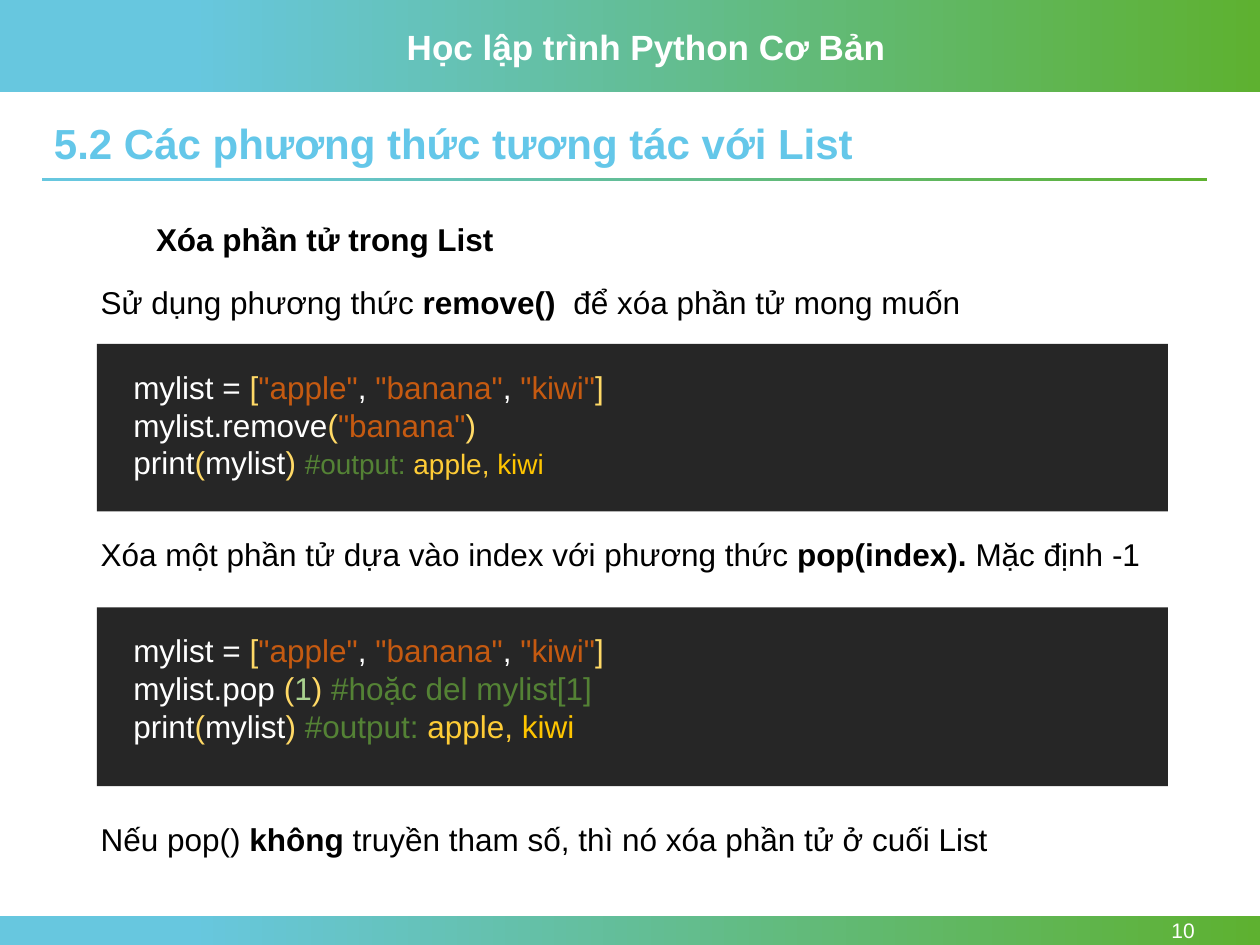
from dataclasses import dataclass

from pptx import Presentation
from pptx.dml.color import RGBColor
from pptx.enum.shapes import MSO_SHAPE
from pptx.enum.text import MSO_ANCHOR, PP_ALIGN
from pptx.shapes.autoshape import Shape
from pptx.slide import Slide
from pptx.util import Inches, Pt

RECTANGLE = MSO_SHAPE.RECTANGLE
TOP, MIDDLE = MSO_ANCHOR.TOP, MSO_ANCHOR.MIDDLE
LEFT, RIGHT = PP_ALIGN.LEFT, PP_ALIGN.RIGHT


@dataclass(frozen=True)
class Theme:
    font: str = "Arial"
    white: str = "FFFFFF"
    black: str = "000000"
    heading: str = "64C7E9"
    gradient: tuple[tuple[float, str], ...] = ((0.15, "67C7DF"), (1, "5EB130"))
    code_panel: str = "262626"
    bracket: str = "FFD966"
    string: str = "C55A11"
    number: str = "A9D18E"
    comment: str = "548235"
    first_output: str = "FECC36"
    last_output: str = "FFC500"
    course_size: int = 20
    heading_size: int = 24
    body_size: int = 18
    output_size: int = 16
    page_size: int = 12


THEME = Theme()


@dataclass(frozen=True)
class Span:
    text: str
    color: str = THEME.black
    size: int = THEME.body_size
    bold: bool = False


@dataclass(frozen=True)
class Box:
    left: float
    top: float
    width: float
    height: float


@dataclass(frozen=True)
class TextBlock:
    box: Box
    lines: list[list[Span]]
    align: PP_ALIGN = LEFT
    anchor: MSO_ANCHOR = TOP
    line_spacing: float = 1.0


@dataclass(frozen=True)
class CodeExample:
    top: float
    height: float
    lines: list[list[Span]]


def plain(text: str) -> Span:
    return Span(text, THEME.white)


def bracket(text: str) -> Span:
    return Span(text, THEME.bracket)


def string(text: str) -> Span:
    return Span(f'"{text}"', THEME.string)


def comment(text: str) -> Span:
    return Span(text, THEME.comment)


def list_line() -> list[Span]:
    return [plain("mylist = "), bracket("["), string("apple"), plain(", "),
            string("banana"), plain(", "), string("kiwi"), bracket("]")]


def print_line(output_size: int) -> list[Span]:
    return [plain("print"), bracket("("), plain("mylist"), bracket(") "),
            Span("#output: ", THEME.comment, output_size),
            Span("apple, ", THEME.first_output, output_size),
            Span("kiwi", THEME.last_output, output_size)]


def add_rectangle(slide: Slide, box: Box) -> Shape:
    rectangle = slide.shapes.add_shape(
        RECTANGLE, Inches(box.left), Inches(box.top), Inches(box.width), Inches(box.height))
    rectangle.shadow.inherit = False
    rectangle.line.fill.background()
    return rectangle


def add_gradient_band(slide: Slide, box: Box) -> None:
    fill = add_rectangle(slide, box).fill
    fill.gradient()
    fill.gradient_angle = 0
    for stop, (position, color) in zip(fill.gradient_stops, THEME.gradient):
        stop.position = position
        stop.color.rgb = RGBColor.from_string(color)


def add_text(slide: Slide, block: TextBlock) -> None:
    box = block.box
    frame = slide.shapes.add_textbox(
        Inches(box.left), Inches(box.top), Inches(box.width), Inches(box.height)).text_frame
    frame.word_wrap = True
    frame.vertical_anchor = block.anchor
    for index, spans in enumerate(block.lines):
        paragraph = frame.add_paragraph() if index else frame.paragraphs[0]
        paragraph.alignment = block.align
        paragraph.line_spacing = block.line_spacing
        for span in spans:
            run = paragraph.add_run()
            run.text = span.text
            run.font.name = THEME.font
            run.font.size = Pt(span.size)
            run.font.bold = span.bold
            run.font.color.rgb = RGBColor.from_string(span.color)


def add_code_example(slide: Slide, example: CodeExample) -> None:
    panel = add_rectangle(slide, Box(0.77, example.top, 8.5, example.height))
    panel.fill.solid()
    panel.fill.fore_color.rgb = RGBColor.from_string(THEME.code_panel)
    add_text(slide, TextBlock(Box(0.96, example.top + 0.14, 8.1, 1.01), example.lines))


BANDS = [Box(0, 0, 10, 0.73), Box(0, 7.27, 10, 0.23), Box(0.33, 1.41, 9.25, 0.03)]

TEXTS = [
    TextBlock(Box(3.13, 0.15, 4, 0.44),
              [[Span("Học lập trình Python Cơ Bản", THEME.white, THEME.course_size, True)]]),
    TextBlock(Box(8.66, 7.27, 0.92, 0.23),
              [[Span("10", THEME.white, THEME.page_size)]], RIGHT, MIDDLE),
    TextBlock(Box(0.33, 0.93, 9.25, 0.46),
              [[Span("5.2 Các phương thức tương tác với List",
                     THEME.heading, THEME.heading_size, True)]], line_spacing=0.9),
    TextBlock(Box(1.14, 1.7, 7.03, 0.4), [[Span("Xóa phần tử trong List", bold=True)]]),
    TextBlock(Box(0.7, 2.2, 8.42, 0.4),
              [[Span("Sử dụng phương thức "), Span("remove()  ", bold=True),
                Span("để xóa phần tử mong muốn")]]),
    TextBlock(Box(0.7, 4.2, 8.57, 0.4),
              [[Span("Xóa một phần tử dựa vào index với phương thức "),
                Span("pop(index). ", bold=True), Span("Mặc định -1")]]),
    TextBlock(Box(0.7, 6.46, 8.42, 0.4),
              [[Span("Nếu pop() "), Span("không", bold=True),
                Span(" truyền tham số, thì nó xóa phần tử ở cuối List")]]),
]

CODE_EXAMPLES = [
    CodeExample(2.73, 1.33, [
        list_line(),
        [plain("mylist.remove"), bracket("("), string("banana"), bracket(")")],
        print_line(THEME.output_size),
    ]),
    CodeExample(4.82, 1.42, [
        list_line(),
        [plain("mylist.pop "), bracket("("), Span("1", THEME.number), bracket(") "),
         comment("#hoặc del mylist[1]")],
        print_line(THEME.body_size),
    ]),
]


def main() -> None:
    presentation = Presentation()
    presentation.slide_width = Inches(10)
    presentation.slide_height = Inches(7.5)
    slide = presentation.slides.add_slide(presentation.slide_layouts[6])
    for band in BANDS:
        add_gradient_band(slide, band)
    for block in TEXTS:
        add_text(slide, block)
    for example in CODE_EXAMPLES:
        add_code_example(slide, example)
    presentation.save("out.pptx")


if __name__ == "__main__":
    main()
